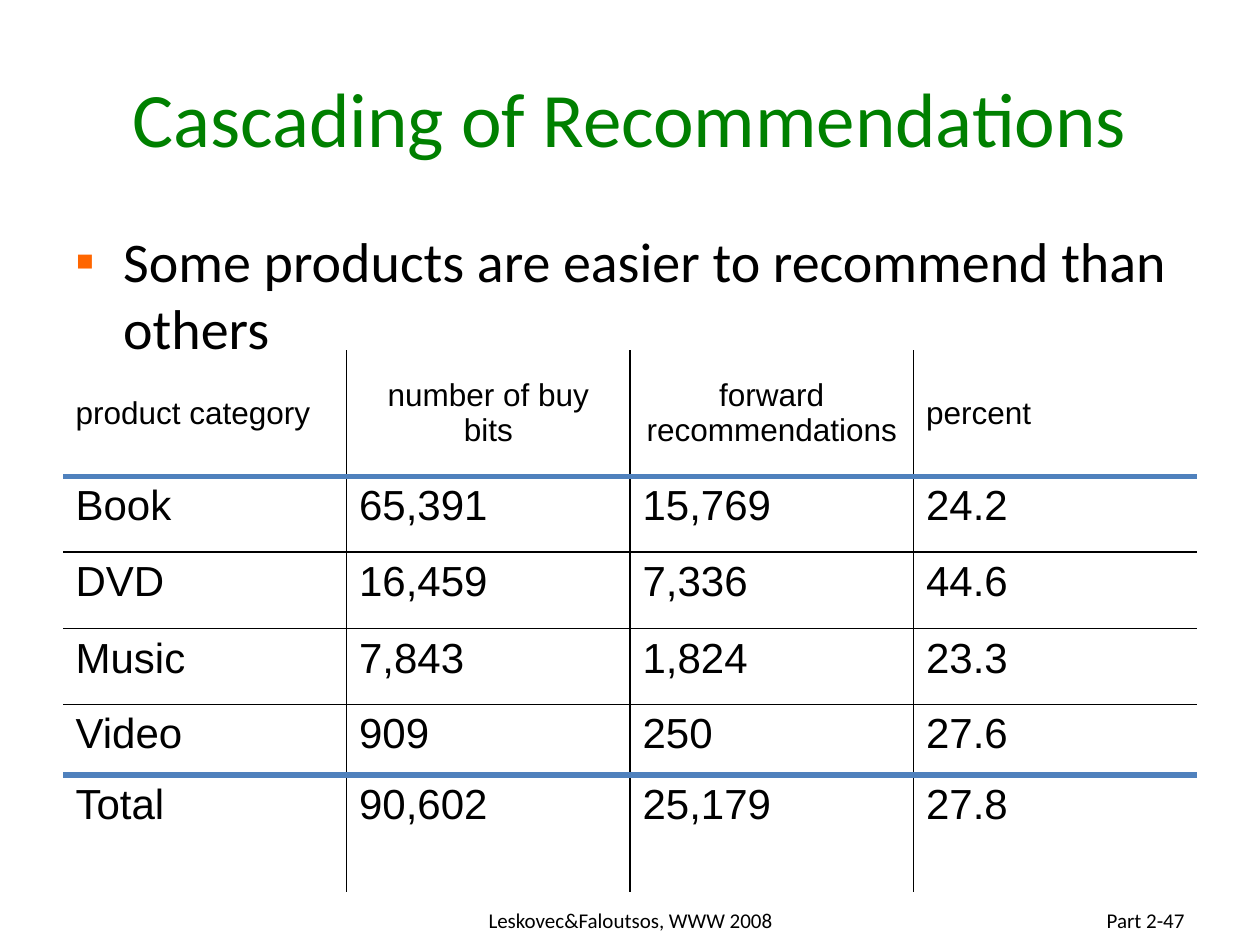
from lxml import etree
from pptx import Presentation
from pptx.dml.color import RGBColor
from pptx.enum.shapes import MSO_CONNECTOR
from pptx.enum.text import MSO_ANCHOR, PP_ALIGN
from pptx.oxml.ns import qn
from pptx.util import Inches, Pt

LEFT, MID, RIGHT = PP_ALIGN.LEFT, PP_ALIGN.CENTER, PP_ALIGN.RIGHT
TOP, CENTER = MSO_ANCHOR.TOP, MSO_ANCHOR.MIDDLE
STRAIGHT = MSO_CONNECTOR.STRAIGHT

COLORS = {"title": "008000", "text": "000000", "bullet": "FF6600",
          "grid": "000000", "rule": "4F81BD"}
HEADS = ["product category", "number of buy bits",
         "forward recommendations", "percent"]
ROWS = [
    ["Book", "65,391", "15,769", "24.2"],
    ["DVD", "16,459", "7,336", "44.6"],
    ["Music", "7,843", "1,824", "23.3"],
    ["Video", "909", "250", "27.6"],
    ["Total", "90,602", "25,179", "27.8"],
]
HEIGHTS = [1, 0.6, 0.61, 0.6, 0.56, 0.93]
X, Y, WIDTH = 0.5, 2.78, 9


def style(para, size, face="Calibri", color="text", align=LEFT):
    para.alignment = align
    values = {"size": Pt(size), "name": face, "bold": False}
    for key, value in values.items():
        setattr(para.font, key, value)
    para.font.color.rgb = RGBColor.from_string(COLORS[color])


def add_color(parent, name):
    etree.SubElement(parent, qn("a:srgbClr"), val=COLORS[name])


def add_text(slide, box, text, size, anchor=CENTER, bullet=False, **look):
    frame = slide.shapes.add_textbox(*map(Inches, box)).text_frame
    frame.word_wrap = True
    frame.vertical_anchor = anchor
    para = frame.paragraphs[0]
    para.text = text
    if bullet:
        add_bullet(para)
    style(para, size, **look)


def add_bullet(para):
    props = para._p.get_or_add_pPr()
    props.set("marL", str(Inches(0.38)))
    props.set("indent", str(-Inches(0.38)))
    add_color(etree.SubElement(props, qn("a:buClr")), "bullet")
    etree.SubElement(props, qn("a:buFont"), typeface="Arial")
    etree.SubElement(props, qn("a:buChar"), char="▪")


def set_edges(cell, edges):
    """Draw the inner edges of a cell and hide the outer ones."""
    props = cell._tc.get_or_add_tcPr()
    for side, shown in edges.items():
        line = etree.SubElement(props, qn(f"a:ln{side}"), w=str(Pt(1)))
        if shown:
            add_color(etree.SubElement(line, qn("a:solidFill")), "grid")
        else:
            etree.SubElement(line, qn("a:noFill"))


def add_grid(slide):
    data = [HEADS] + ROWS
    high, wide = len(data), len(HEADS)
    box = map(Inches, (X, Y, WIDTH, sum(HEIGHTS)))
    table = slide.shapes.add_table(high, wide, *box).table
    table.first_row = table.horz_banding = False
    for col in table.columns:
        col.width = Inches(WIDTH / wide)
    for r, texts in enumerate(data):
        table.rows[r].height = Inches(HEIGHTS[r])
        head = r == 0
        for c, text in enumerate(texts):
            cell = table.cell(r, c)
            set_edges(cell, {"L": c > 0, "R": c < wide - 1,
                             "T": r > 0, "B": r < high - 1})
            cell.fill.background()
            cell.text = text
            cell.vertical_anchor = CENTER if head else TOP
            align = MID if head and 0 < c < wide - 1 else LEFT
            style(cell.text_frame.paragraphs[0], 18 if head else 24,
                  face="Arial", align=align)


def add_rule(slide, y):
    ends = map(Inches, (X, y, X + WIDTH, y))
    rule = slide.shapes.add_connector(STRAIGHT, *ends)
    rule.line.width = Pt(3)
    rule.line.color.rgb = RGBColor.from_string(COLORS["rule"])
    etree.SubElement(rule._element.spPr, qn("a:effectLst"))


def main():
    deck = Presentation()
    deck.slide_width, deck.slide_height = Inches(10), Inches(7.5)
    slide = deck.slides.add_slide(deck.slide_layouts[6])

    # Title and message
    add_text(slide, (X, 0.3, WIDTH, 1.25), "Cascading of Recommendations",
             44, color="title", align=MID)
    add_text(slide, (X, 1.75, WIDTH, 4.95),
             "Some products are easier to recommend than others",
             32, anchor=TOP, bullet=True)

    # Table with heavy rules under the head and above the total
    add_grid(slide)
    for count in (len(HEIGHTS) - 1, 1):
        add_rule(slide, Y + sum(HEIGHTS[:count]))

    # Footer
    add_text(slide, (3.42, 7.1, 3.17, 0.4), "Leskovec&Faloutsos, WWW 2008",
             12, align=MID)
    add_text(slide, (7.17, 7.1, 2.33, 0.4), "Part 2-47", 12, align=RIGHT)

    deck.save("out.pptx")


if __name__ == "__main__":
    main()
